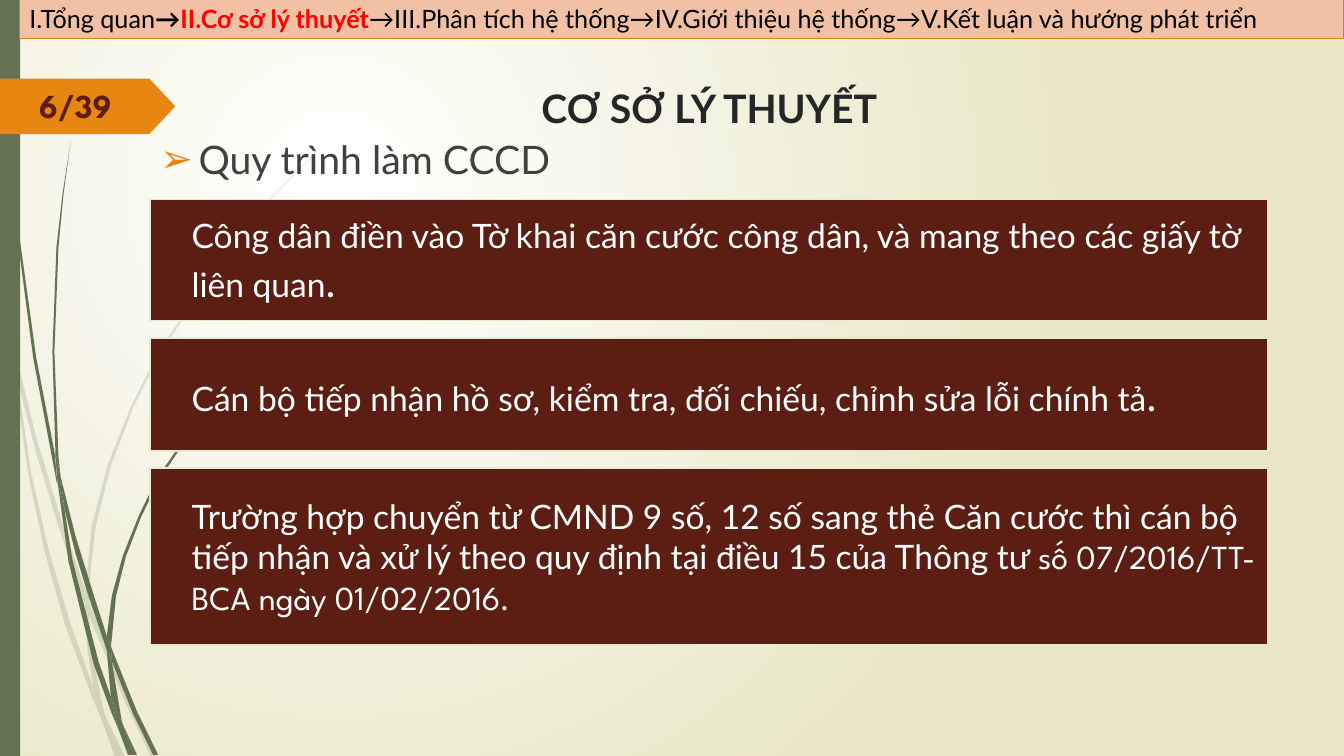
from lxml import etree
from pptx import Presentation
from pptx.dml.color import RGBColor
from pptx.enum.shapes import MSO_SHAPE
from pptx.enum.text import MSO_ANCHOR, MSO_AUTO_SIZE, PP_ALIGN
from pptx.oxml.ns import qn
from pptx.util import Cm, Pt

RECTANGLE, TAG = MSO_SHAPE.RECTANGLE, MSO_SHAPE.PENTAGON
TOP, MIDDLE = MSO_ANCHOR.TOP, MSO_ANCHOR.MIDDLE
LEFT, CENTER, JUSTIFY = PP_ALIGN.LEFT, PP_ALIGN.CENTER, PP_ALIGN.JUSTIFY
NO_FIT = MSO_AUTO_SIZE.NONE

LATO, SPARTAN = "Lato", "League Spartan"
COLORS = {
    "white": "FFFFFF", "cream": "E8E6C4", "green": "647252", "orange": "E78712",
    "brown": "5C1E13", "card_edge": "EAE8CF", "peach": "F1C0A5",
    "banner_edge": "DD8111", "black": "000000", "red": "FF0000",
    "title": "262626", "body": "404040",
}
CONTENT_LEFT, CONTENT_WIDTH = 3.78, 28.17
CARDS_TOP, CARD_GAP = 5.03, 0.44

# Outlines of the grass, in hundredths of an inch.
GRASS_UNIT = Cm(0.0254)
PALE_GRASS = [
    [(11, 350), (9, 322), (0, 282), (0, 299), (10, 344)],
    [(58, 522), (84, 599), (85, 586), (62, 520), (36, 434), (14, 345), (17, 376), (36, 450)],
    [(92, 607), (88, 596), (88, 610), (123, 694), (150, 751), (155, 751), (127, 692)],
    [(119, 751), (124, 751), (105, 711)],
    [(93, 683), (70, 619), (48, 544), (31, 469), (17, 376), (11, 350), (28, 470), (44, 546),
     (65, 621), (92, 693), (101, 714), (99, 707)],
    [(84, 599), (87, 646), (93, 683), (96, 692), (105, 711), (103, 706), (91, 646), (88, 608)],
    [(88, 584), (95, 522), (110, 462), (132, 405), (160, 349), (229, 245), (268, 198),
     (290, 175), (312, 154), (312, 153), (289, 175), (268, 197), (228, 244), (158, 348),
     (130, 403), (107, 461), (91, 522), (85, 584), (85, 586), (88, 596)],
    [(101, 714), (114, 751), (119, 751)],
    [(88, 608), (88, 610), (88, 596), (85, 586), (84, 599)],
    [(96, 692), (93, 683), (99, 707), (101, 714), (119, 751), (105, 711)],
]
DARK_GRASS = [
    [(7, 110), (17, 233), (33, 355), (56, 477), (57, 481), (55, 457), (55, 453), (36, 355),
     (19, 232), (8, 109), (5, 48), (4, 0), (3, 0), (4, 48)],
    [(88, 592), (106, 645), (106, 631), (93, 590), (75, 532), (60, 472), (64, 505), (75, 549)],
    [(113, 649), (110, 641), (111, 656), (132, 708), (152, 749), (157, 749), (136, 706)],
    [(110, 691), (98, 657), (72, 556), (64, 505), (57, 477), (68, 557), (93, 659), (111, 708),
     (117, 722), (116, 717)],
    [(60, 472), (58, 453), (54, 349), (58, 245), (63, 193), (70, 141), (62, 193), (56, 245),
     (52, 349), (55, 449)],
    [(133, 749), (136, 749), (122, 719)],
    [(57, 477), (64, 505), (60, 472), (55, 449), (55, 453)],
    [(111, 633), (115, 592), (125, 552), (140, 513), (158, 476), (205, 406), (231, 374),
     (245, 359), (261, 344), (260, 344), (245, 358), (231, 373), (204, 405), (156, 474),
     (138, 511), (122, 551), (111, 591), (106, 631), (110, 641)],
    [(117, 722), (127, 749), (131, 749)],
    [(106, 645), (110, 691), (116, 706), (122, 719), (121, 716), (111, 656)],
    [(106, 645), (109, 651), (111, 656), (110, 641), (106, 631)],
    [(116, 706), (110, 691), (116, 717), (117, 722), (130, 749), (133, 749), (122, 719)],
]

CARDS = [
    (3.05, [("Công dân điền vào Tờ khai căn cước công dân, và mang theo các giấy tờ "
             "liên quan", 24, LATO), (".", 30, LATO)]),
    (2.84, [("Cán bộ tiếp nhận hồ sơ, kiểm tra, đối chiếu, chỉnh sửa lỗi chính tả",
             24, LATO), (".", 30, LATO)]),
    (4.45, [("Trường hợp chuyển từ CMND 9 số, 12 số sang thẻ Căn cước thì cán bộ "
             "tiếp nhận và xử lý theo quy định tại điều 15 của Thông tư ", 24, LATO),
            ("số 07/2016/TT-BCA ngày 01/02/2016", 24, SPARTAN), (".", 24, LATO)]),
]
CHAPTERS = [
    ("I.Tổng quan", "black", False), ("→", "black", True),
    ("II.Cơ sở lý thuyết", "red", True),
    ("→III.Phân tích hệ thống→IV.Giới thiệu hệ thống→V.Kết luận và hướng phát triển",
     "black", False),
]


def rgb(name):
    return RGBColor.from_string(COLORS[name])


def add_run(paragraph, text, size, color, font=LATO, bold=False):
    run = paragraph.add_run()
    run.text = text
    run.font.size, run.font.name, run.font.bold = Pt(size), font, bold
    run.font.color.rgb = rgb(color)


def paint(shape, color, edge=None, edge_width=0):
    shape.shadow.inherit = False
    shape.fill.solid()
    shape.fill.fore_color.rgb = rgb(color)
    if edge:
        shape.line.color.rgb = rgb(edge)
        shape.line.width = Pt(edge_width)
    else:
        shape.line.fill.background()


def add_block(slide, box, color, edge=None, edge_width=0, kind=RECTANGLE):
    block = slide.shapes.add_shape(kind, *map(Cm, box))
    paint(block, color, edge, edge_width)
    return block


def add_grass(slide, outline, opacity=100):
    builder = slide.shapes.build_freeform(*outline[0], scale=GRASS_UNIT)
    builder.add_line_segments(outline[1:], close=True)
    blade = builder.convert_to_shape()
    paint(blade, "green")
    if opacity < 100:
        tint = blade._element.spPr.find(qn("a:solidFill"))[0]
        etree.SubElement(tint, qn("a:alpha")).set("val", str(opacity * 1000))


def set_background(slide):
    fill = slide.background.fill
    fill.gradient()
    for stop, color in zip(fill.gradient_stops, ("white", "cream")):
        stop.color.rgb = rgb(color)
    gradient = next(slide._element.iter(qn("a:gradFill")))
    gradient.remove(gradient.find(qn("a:lin")))
    glow = etree.SubElement(gradient, qn("a:path"))
    glow.set("path", "circle")
    center = etree.SubElement(glow, qn("a:fillToRect"))
    for side, share in zip("ltrb", (50, 50, 100, 100)):
        center.set(side, str(share * 1000))


def place(slide, placeholder, box, alignment):
    """Move a placeholder above the decoration and return its first paragraph."""
    slide.shapes._spTree.append(placeholder._element)
    placeholder.left, placeholder.top, placeholder.width, placeholder.height = map(Cm, box)
    frame = placeholder.text_frame
    frame.auto_size, frame.vertical_anchor = NO_FIT, TOP
    frame.paragraphs[0].alignment = alignment
    return frame.paragraphs[0]


def set_bullet(paragraph, mark, color, indent):
    properties = paragraph._p.get_or_add_pPr()
    properties.set("marL", str(Cm(indent)))
    properties.set("indent", str(-Cm(indent)))
    tint = etree.SubElement(properties, qn("a:buClr"))
    etree.SubElement(tint, qn("a:srgbClr")).set("val", COLORS[color])
    etree.SubElement(properties, qn("a:buChar")).set("char", mark)


def add_page_tag(slide, page):
    tag = add_block(slide, (0, 1.98, 4.42, 1.4), "orange", kind=TAG)
    tag.adjustments[0] = 0.47
    number = slide.shapes.add_textbox(Cm(0.74), Cm(2.01), Cm(3.05), Cm(1.27))
    number.text_frame.word_wrap = True
    add_run(number.text_frame.paragraphs[0], page, 24, "brown", SPARTAN, True)


def add_card(slide, top, height, runs):
    card = add_block(slide, (CONTENT_LEFT, top, CONTENT_WIDTH, height), "brown", "card_edge", 1.25)
    frame = card.text_frame
    frame.vertical_anchor = MIDDLE
    frame.margin_left = Cm(1.05)
    frame.margin_top = frame.margin_right = frame.margin_bottom = Cm(0.2)
    frame.paragraphs[0].alignment = LEFT
    for text, size, font in runs:
        add_run(frame.paragraphs[0], text, size, "white", font)


def add_banner(slide):
    banner = add_block(slide, (0.49, -0.05, 33.37, 1.02), "peach", "banner_edge", 0.75)
    chapters = banner.text_frame.paragraphs[0]
    chapters.alignment = LEFT
    for text, color, bold in CHAPTERS:
        add_run(chapters, text, 18, color, bold=bold)


def main():
    deck = Presentation()
    deck.slide_width, deck.slide_height = Cm(33.87), Cm(19.05)
    slide = deck.slides.add_slide(deck.slide_layouts[1])
    set_background(slide)
    for grass, opacity in ((PALE_GRASS, 20), (DARK_GRASS, 100)):
        for outline in grass:
            add_grass(slide, outline, opacity)
    add_block(slide, (0, 0, 0.51, 19.05), "green")
    add_page_tag(slide, "6/39")
    topic = place(slide, slide.placeholders[1], (CONTENT_LEFT, 3.28, CONTENT_WIDTH, 12.17), JUSTIFY)
    topic.space_before = Pt(10)
    set_bullet(topic, "➢", "orange", 0.97)
    add_run(topic, "Quy trình làm CCCD", 28, "body")
    heading = place(slide, slide.shapes.title, (5.49, 1.99, 24.77, 2.24), CENTER)
    add_run(heading, "CƠ SỞ LÝ THUYẾT", 28, "title", bold=True)
    top = CARDS_TOP
    for height, runs in CARDS:
        add_card(slide, top, height, runs)
        top += height + CARD_GAP
    add_banner(slide)
    deck.save("out.pptx")


if __name__ == "__main__":
    main()
